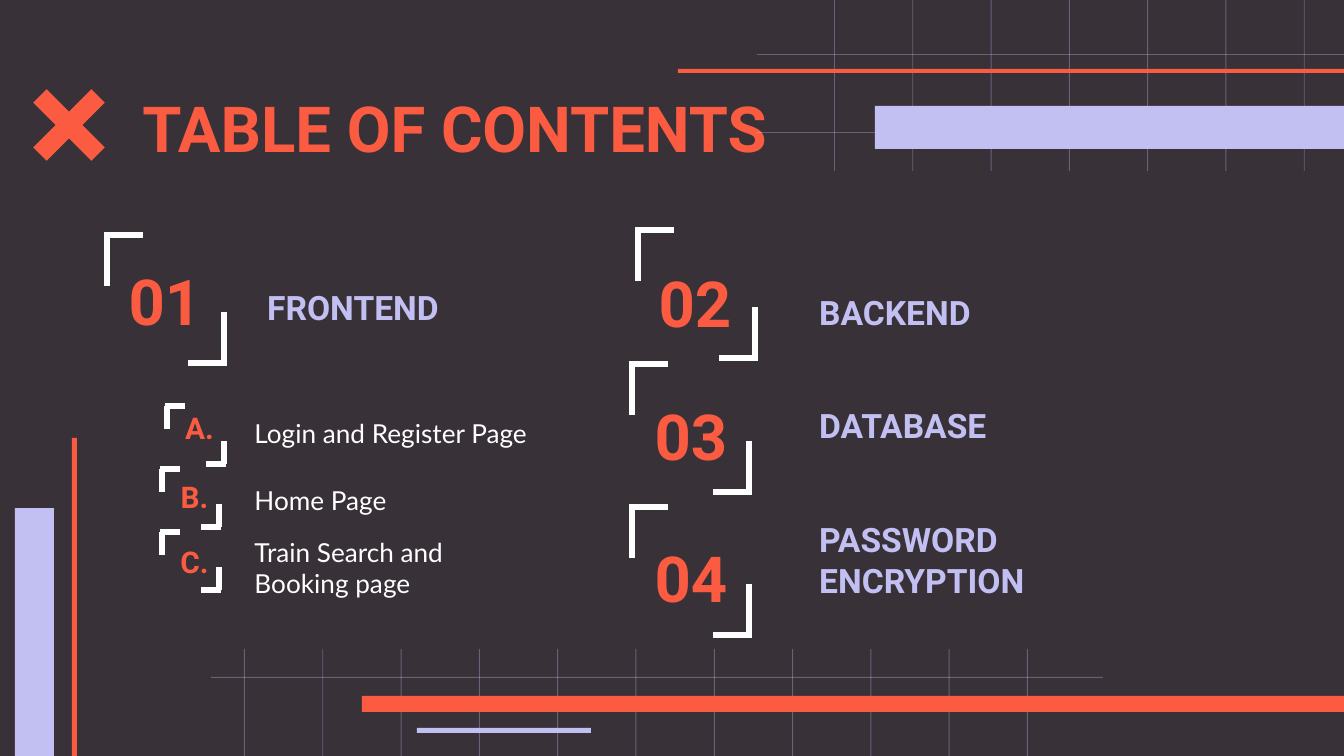
import pptx
import pptx.util
import pptx.dml.color
import pptx.enum.shapes
import pptx.enum.text
import pptx.oxml.ns
import lxml.etree

RGBColor = pptx.dml.color.RGBColor
BACKGROUND = RGBColor(0x38, 0x31, 0x38)
CORAL = RGBColor(0xFA, 0x5B, 0x41)
LILAC = RGBColor(0xC2, 0xC0, 0xF2)
WHITE = RGBColor(0xFF, 0xFF, 0xFF)

SHAPES = pptx.enum.shapes.MSO_SHAPE
ALIGN = pptx.enum.text.PP_ALIGN
qn = pptx.oxml.ns.qn

# Content: boxes are (left, top, width, height) in px
WIDTH, HEIGHT = 1344, 756
TITLE = ("TABLE OF CONTENTS", (129, 81, 1086, 93))
HEADINGS = [
    (["FRONTEND"], (254, 278, 237, 58)),
    (["BACKEND"], (806, 251, 297, 122)),
    (["DATABASE"], (806, 398, 228, 54)),
    (["PASSWORD", "ENCRYPTION"], (806, 524, 253, 71)),
]
# Label, its box position, and the top left corner of its bracket
NUMBERS = [
    ("01", (106, 271), (107, 235)),
    ("02", (636, 273), (638, 230)),
    ("03", (632, 406), (632, 364)),
    ("04", (632, 548), (632, 507)),
]
LETTERS = [
    ("A.", (165, 413), (167, 406)),
    ("B.", (160, 482), (162, 469)),
    ("C.", (160, 547), (162, 532)),
]
ITEMS = ["Login and Register Page", "Home Page", "Train Search and Booking page"]
ITEM_LEFT, ITEM_TOP, ITEM_PITCH, ITEM_SIZE = 241, 398, 67, (304, 71)

# Label style: box size, font size, bracket size, arm size, overhang
NUMBER_STYLE = ((118, 58), 34, (117, 128), (36, 51), 3)
LETTER_STYLE = ((69, 30), 16, (57, 58), (18, 23), 2)

# Grid: vertical lines (first, count, top, bottom), horizontal (left, right, tops)
GRID_PITCH = 78.3
GRIDS = [
    ((834, 7, 0, 171), (757, WIDTH, [54, 132])),
    ((244, 11, 649, HEIGHT), (211, 1103, [677])),
]
BARS = [
    ((362, 696, 982, 16), CORAL),
    ((15, 508, 39, 248), LILAC),
    ((72, 438, 5, 318), CORAL),
    ((417, 728, 174, 5), LILAC),
    ((875, 106, 469, 43), LILAC),
    ((678, 69, 666, 4), CORAL),
]


def px(length):
    return pptx.util.Emu(round(length * 914400 / 134.4))


def add_filled(slide, preset, box, color, opacity=None):
    shape = slide.shapes.add_shape(preset, *map(px, box))
    shape.shadow.inherit = False
    shape.fill.solid()
    shape.fill.fore_color.rgb = color
    shape.line.fill.background()
    if opacity:
        color_element = shape.fill._xPr.find(".//" + qn("a:srgbClr"))
        lxml.etree.SubElement(color_element, qn("a:alpha"), val=str(opacity * 1000))
    return shape


def write_text(shape, box, lines, font, size, color, bold=True, align=ALIGN.LEFT):
    shape.left, shape.top, shape.width, shape.height = map(px, box)
    frame = shape.text_frame
    frame.word_wrap = True
    frame.auto_size = pptx.enum.text.MSO_AUTO_SIZE.NONE
    frame.vertical_anchor = pptx.enum.text.MSO_ANCHOR.MIDDLE
    frame.margin_left = frame.margin_right = pptx.util.Inches(0.1)
    frame.margin_top = frame.margin_bottom = 0
    for index, line in enumerate(lines):
        paragraph = frame.add_paragraph() if index else frame.paragraphs[0]
        paragraph.alignment = align
        paragraph.space_before = pptx.util.Pt(0)
        if shape.is_placeholder:
            properties = paragraph._p.get_or_add_pPr()
            properties.set("marL", "0")
            properties.set("indent", "0")
            lxml.etree.SubElement(properties, qn("a:buNone"))
        run = paragraph.add_run()
        run.text = line
        run.font.name = font
        run.font.size = pptx.util.Pt(size)
        run.font.bold = bold
        run.font.color.rgb = color


def add_text(slide, box, *args, **options):
    write_text(slide.shapes.add_textbox(*map(px, box)), box, *args, **options)


def add_line(slide, *ends):
    line = slide.shapes.add_connector(
        pptx.enum.shapes.MSO_CONNECTOR.STRAIGHT, *map(px, ends))
    line.line.color.rgb = WHITE
    line.line.width = pptx.util.Pt(3)
    lxml.etree.SubElement(line._element.spPr, qn("a:effectLst"))


def add_bracket(slide, corner, size, arm, overhang):
    left, top = corner
    right, bottom = left + size[0], top + size[1]
    # Direction +1 is the top left corner, -1 the bottom right one
    for x, y, direction in [(left, top, 1), (right, bottom, -1)]:
        add_line(slide, x, y + direction * arm[1], x, y)
        add_line(slide, x - direction * overhang, y, x + direction * arm[0], y)


def main():
    presentation = pptx.Presentation()
    presentation.slide_width, presentation.slide_height = px(WIDTH), px(HEIGHT)
    slide = presentation.slides.add_slide(
        presentation.slide_layouts.get_by_name("Comparison"))
    slide.background.fill.solid()
    slide.background.fill.fore_color.rgb = BACKGROUND

    # Background grids
    for (first, count, top, bottom), (left, right, tops) in GRIDS:
        lines = [(first + i * GRID_PITCH, top, 1, bottom - top) for i in range(count)]
        lines += [(left, y, right - left, 1) for y in tops]
        for box in lines:
            add_filled(slide, SHAPES.RECTANGLE, box, LILAC, opacity=35)

    # Accent bars and cross
    for box, color in BARS:
        add_filled(slide, SHAPES.RECTANGLE, box, color)
    cross = add_filled(slide, SHAPES.MATH_MULTIPLY, (13, 69, 112, 112), CORAL)
    cross.adjustments[0] = 0.17

    # Title and list of pages
    title, *bodies = slide.placeholders
    write_text(title, TITLE[1], [TITLE[0]], "Roboto", 34, CORAL)
    for index, (body, item) in enumerate(zip(bodies, ITEMS)):
        box = (ITEM_LEFT, ITEM_TOP + index * ITEM_PITCH, *ITEM_SIZE)
        write_text(body, box, [item], "Lato", 14, WHITE, bold=False)
    for body in bodies[len(ITEMS):]:
        body._element.getparent().remove(body._element)

    # Section headings
    for lines, box in HEADINGS:
        add_text(slide, box, lines, "Roboto", 18, LILAC)

    # Bracketed numbers and letters
    for labels, style in [(NUMBERS, NUMBER_STYLE), (LETTERS, LETTER_STYLE)]:
        box_size, font_size, *bracket = style
        for label, position, corner in labels:
            add_text(slide, (*position, *box_size), [label], "Roboto", font_size,
                     CORAL, align=ALIGN.CENTER)
            add_bracket(slide, corner, *bracket)

    presentation.save("out.pptx")


if __name__ == "__main__":
    main()
